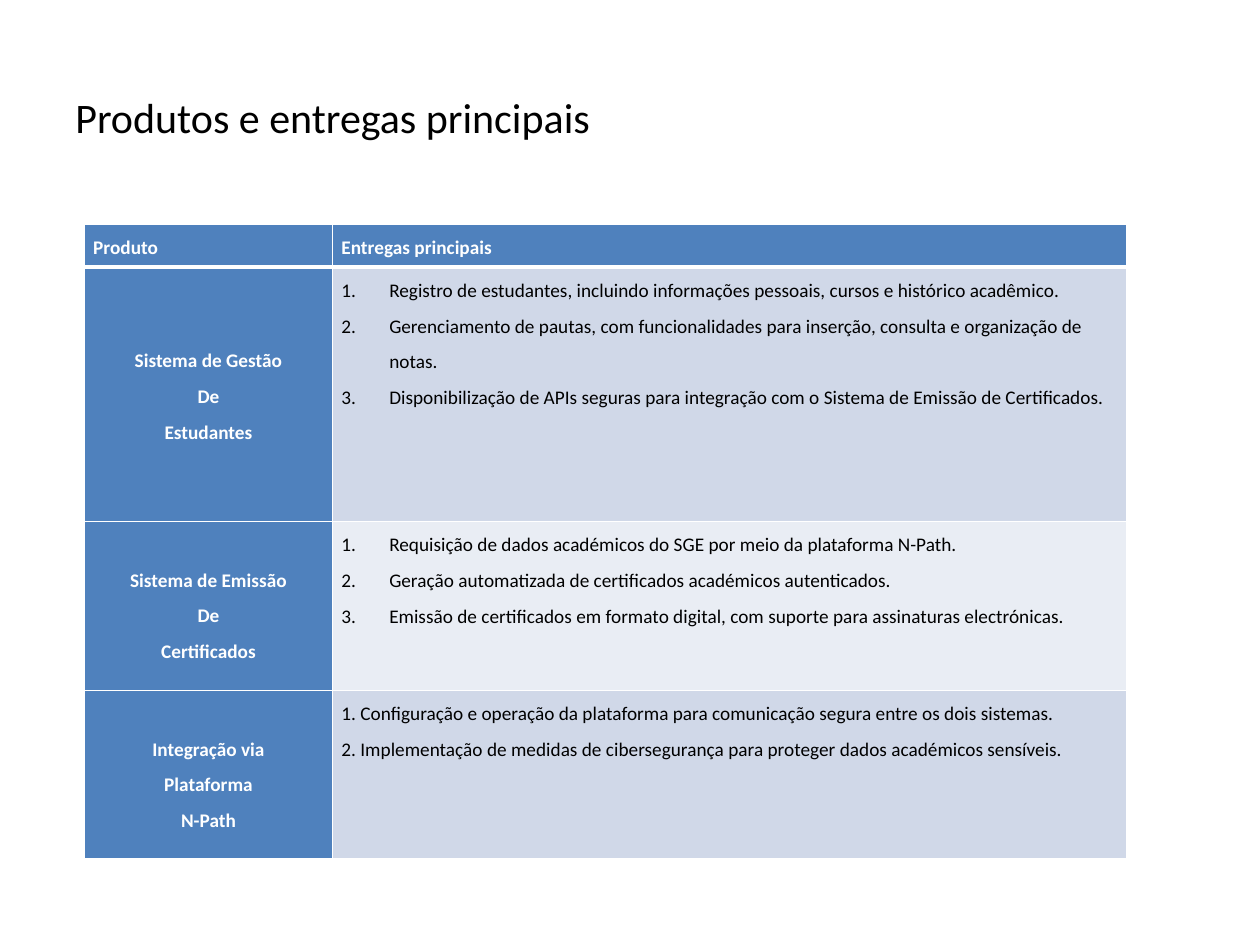
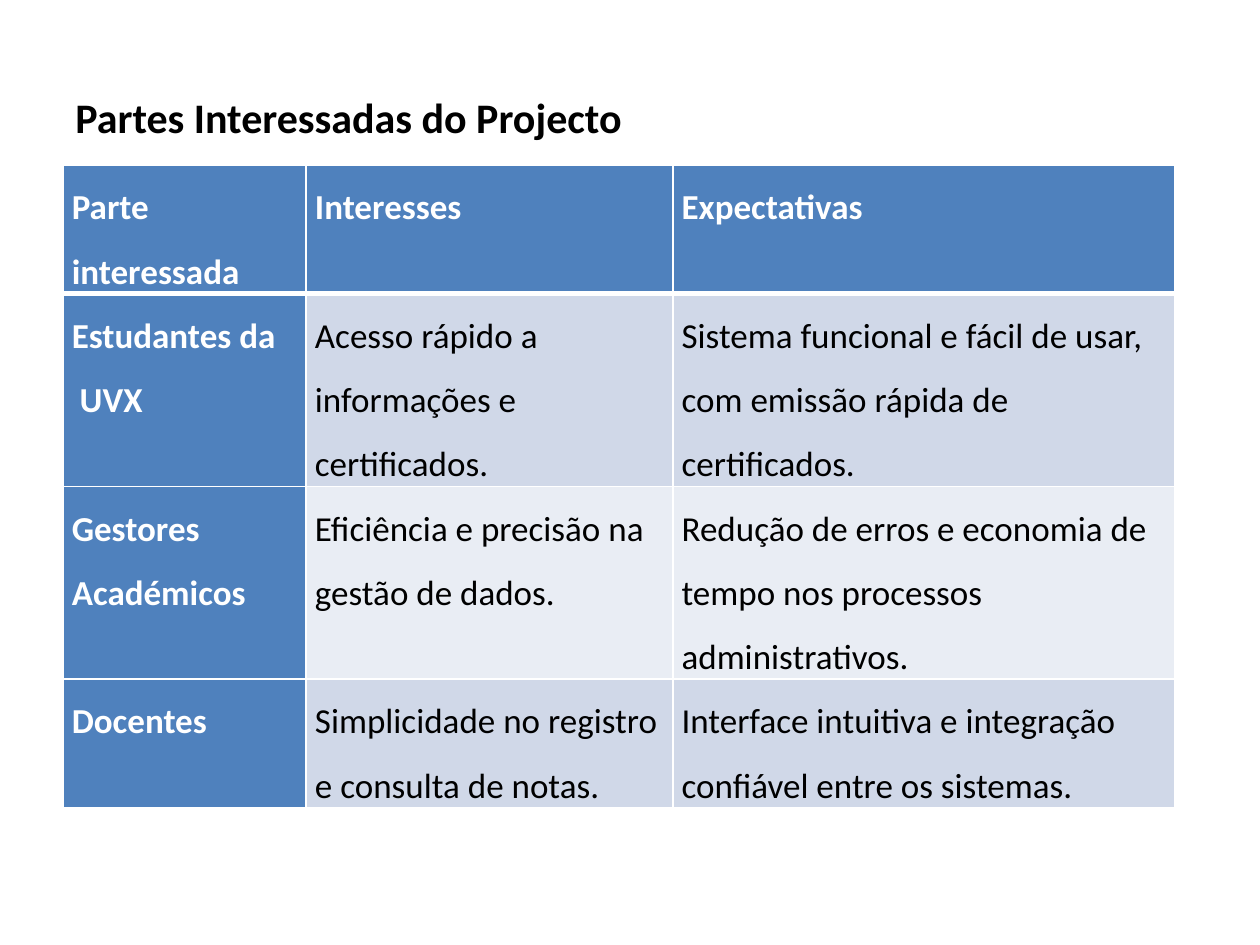
from lxml import etree
from pptx import Presentation
from pptx.dml.color import RGBColor
from pptx.enum.text import MSO_ANCHOR, PP_ALIGN as Align
from pptx.oxml.ns import qn
from pptx.util import Inches, Pt

# Shared look
FONT = "Calibri"
BLACK, WHITE = "000000", "FFFFFF"
BLUE = "4F81BD"
BANDS = ("D0D8E8", "E9EDF4")
LINE_SPACING = 1.5
LIST_INDENT = 0.38

# Content: each cell is a list of paragraphs
PRODUCT_HEADER = ["Produto", "Entregas principais"]
PRODUCTS = [
    [["Sistema de Gestão", "De", "Estudantes"],
     ["Registro de estudantes, incluindo informações pessoais, cursos e histórico acadêmico.",
      "Gerenciamento de pautas, com funcionalidades para inserção, consulta e organização de notas.",
      "Disponibilização de APIs seguras para integração com o Sistema de Emissão de Certificados."]],
    [["Sistema de Emissão", "De", "Certificados"],
     ["Requisição de dados académicos do SGE por meio da plataforma N-Path.",
      "Geração automatizada de certificados académicos autenticados.",
      "Emissão de certificados em formato digital, com suporte para assinaturas electrónicas."]],
    [["Integração via", "Plataforma", "N-Path"],
     ["1. Configuração e operação da plataforma para comunicação segura entre os dois sistemas.",
      "2. Implementação de medidas de cibersegurança para proteger dados académicos sensíveis."]],
]
STAKEHOLDER_HEADER = ["Parte interessada", "Interesses", "Expectativas"]
STAKEHOLDERS = [
    [["Estudantes da", " UVX"],
     ["Acesso rápido a informações e certificados."],
     ["Sistema funcional e fácil de usar, com emissão rápida de certificados."]],
    [["Gestores", "Académicos"],
     ["Eficiência e precisão na gestão de dados."],
     ["Redução de erros e economia de tempo nos processos administrativos."]],
    [["Docentes"],
     ["Simplicidade no registro e consulta de notas."],
     ["Interface intuitiva e integração confiável entre os sistemas."]],
]


def rgb(hex_color):
    return RGBColor.from_string(hex_color)


def add_run(paragraph, text, size, color, bold=False):
    run = paragraph.add_run()
    run.text = text
    run.font.name = FONT
    run.font.size = Pt(size)
    run.font.bold = bold
    run.font.color.rgb = rgb(color)


def add_title(slide, text, bold=False):
    title = slide.shapes.add_textbox(Inches(0.5), Inches(0.3), Inches(9), Inches(1.25))
    frame = title.text_frame
    frame.word_wrap = True
    frame.vertical_anchor = MSO_ANCHOR.MIDDLE
    add_run(frame.paragraphs[0], text, 24, BLACK, bold)


def number_paragraph(paragraph):
    props = paragraph._p.get_or_add_pPr()
    props.set("marL", str(Inches(LIST_INDENT)))
    props.set("indent", str(-Inches(LIST_INDENT)))
    etree.SubElement(props, qn("a:buFont"), typeface="+mj-lt")
    etree.SubElement(props, qn("a:buAutoNum"), type="arabicPeriod")


def set_borders(cell, top, bottom):
    """Draw white edges; they come before the fill in the cell properties."""
    props = cell._tc.get_or_add_tcPr()
    widths = {"a:lnL": 1, "a:lnR": 1, "a:lnT": top, "a:lnB": bottom}
    for place, (tag, width) in enumerate(widths.items()):
        edge = etree.Element(qn(tag), w=str(Pt(width)))
        fill = etree.SubElement(edge, qn("a:solidFill"))
        etree.SubElement(fill, qn("a:srgbClr"), val=WHITE)
        props.insert(place, edge)


def fill_cell(cell, lines, size, color, fill, bold, align, numbered=False):
    cell.margin_left = cell.margin_right = Inches(0.07)
    cell.margin_top = cell.margin_bottom = 0
    cell.fill.solid()
    cell.fill.fore_color.rgb = rgb(fill)
    frame = cell.text_frame
    for index, line in enumerate(lines):
        paragraph = frame.add_paragraph() if index else frame.paragraphs[0]
        paragraph.alignment = align
        paragraph.line_spacing = LINE_SPACING
        if numbered:
            number_paragraph(paragraph)
        add_run(paragraph, line, size, color, bold)


def add_matrix(slide, left, top, widths, heights, header, body, size,
               label_align=Align.JUSTIFY, numbered_rows=()):
    """Table with a blue header row, a blue label column and banded values."""
    table = slide.shapes.add_table(
        len(heights), len(widths), Inches(left), Inches(top),
        Inches(sum(widths)), Inches(sum(heights))).table
    for column, width in zip(table.columns, widths):
        column.width = Inches(width)
    for row, height in zip(table.rows, heights):
        row.height = Inches(height)

    for c, heading in enumerate(header):
        cell = table.cell(0, c)
        fill_cell(cell, [heading], size, WHITE, BLUE, True, Align.JUSTIFY)
        set_borders(cell, 1, 3)
    for r, (label, *values) in enumerate(body, start=1):
        top_width = 3 if r == 1 else 1
        label_cell = table.cell(r, 0)
        fill_cell(label_cell, label, size, WHITE, BLUE, True, label_align)
        set_borders(label_cell, top_width, 1)
        for c, value in enumerate(values, start=1):
            cell = table.cell(r, c)
            fill_cell(cell, value, size, BLACK, BANDS[(r - 1) % 2], False,
                      Align.LEFT, r in numbered_rows)
            set_borders(cell, top_width, 1)
    return table


def add_products(slide):
    add_title(slide, "Produtos e entregas principais")
    table = add_matrix(slide, 0.67, 1.78, [1.97, 6.3], [0.34, 2.02, 1.34, 1.34],
                       PRODUCT_HEADER, PRODUCTS, 11, Align.CENTER, numbered_rows=(1, 2))
    # Product names start some lines below the top of their row
    line_height = 0.28
    for r, lines_down in enumerate((2, 1, 1), start=1):
        table.cell(r, 0).margin_top = Inches(lines_down * line_height)


def add_stakeholders(slide):
    add_title(slide, "Partes Interessadas do Projecto", bold=True)
    line_height = 0.51
    heights = [lines * line_height for lines in (2, 3, 3, 2)]
    add_matrix(slide, 0.5, 1.31, [1.93, 2.91, 3.98], heights,
               STAKEHOLDER_HEADER, STAKEHOLDERS, 20)


def main():
    deck = Presentation()
    deck.slide_width, deck.slide_height = Inches(10), Inches(7.5)
    blank = deck.slide_layouts[6]
    for build in (add_products, add_stakeholders):
        build(deck.slides.add_slide(blank))
    deck.save("out.pptx")


if __name__ == "__main__":
    main()
